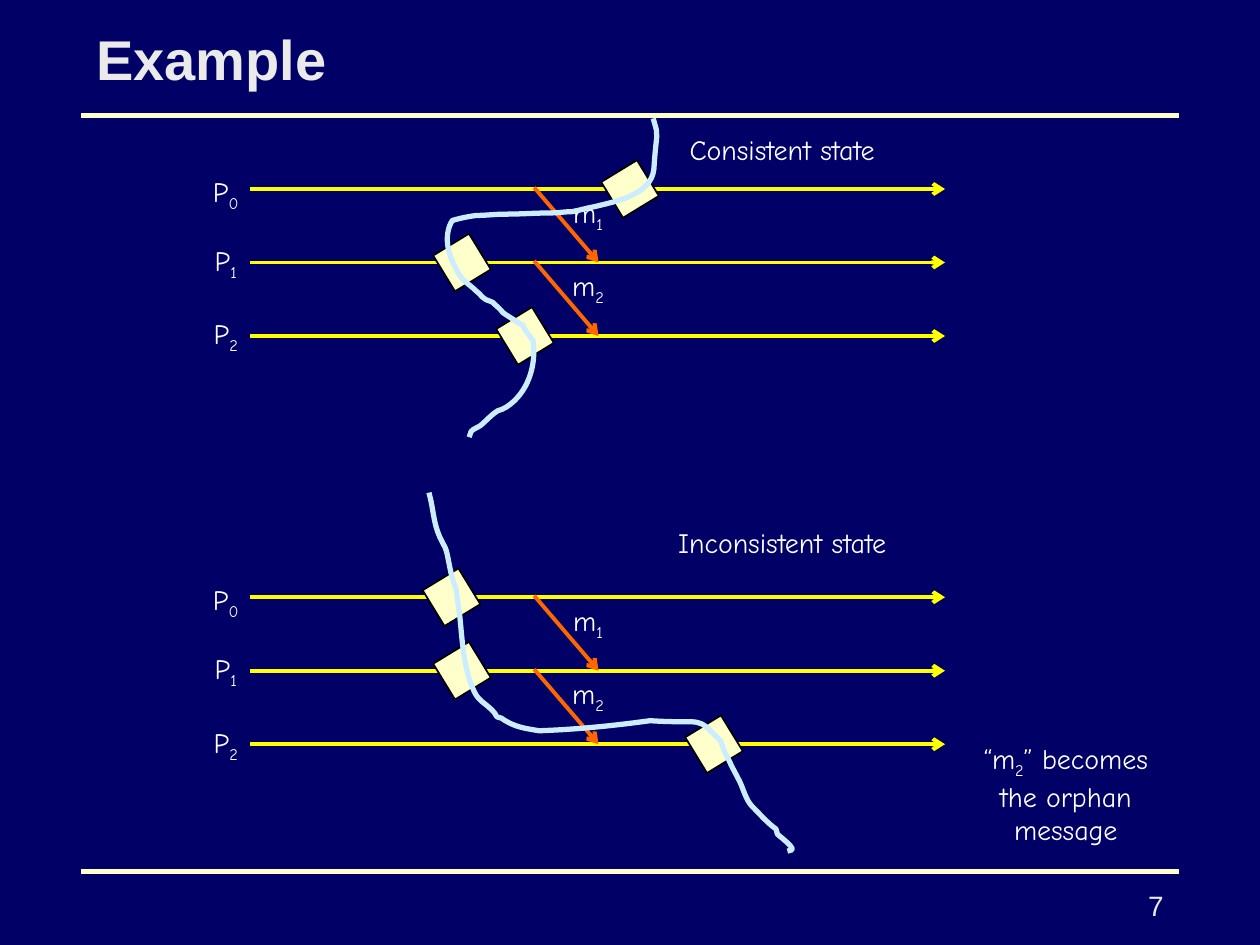
from lxml.etree import SubElement
from pptx import Presentation
from pptx.dml.color import RGBColor
from pptx.enum.shapes import MSO_CONNECTOR, MSO_SHAPE
from pptx.enum.text import MSO_ANCHOR, MSO_AUTO_SIZE, PP_ALIGN
from pptx.oxml.ns import qn
from pptx.util import Inches, Pt

NAVY = RGBColor(0x00, 0x00, 0x66)
CREAM = RGBColor(0xFF, 0xFF, 0xCC)
GREY = RGBColor(0xEA, 0xEA, 0xEA)
WHITE = RGBColor(0xFF, 0xFF, 0xFF)
BLACK = RGBColor(0x00, 0x00, 0x00)
YELLOW = RGBColor(0xFF, 0xFF, 0x00)
ORANGE = RGBColor(0xFF, 0x66, 0x00)
ICE = RGBColor(0xCC, 0xEC, 0xFF)

WIDTH, HEIGHT = Inches(10), Inches(7.5)
CELL = WIDTH / 120
CURVE_UNIT = WIDTH / 1000
PROCESS_GAP = 7

CONSISTENT_CUT = [
    (319, -54),
    (323, -40), (321, -48), (319, -16),
    (317, 5), (288, 10), (272, 14),
    (266, 15), (260, 17), (254, 18),
    (249, 18), (243, 19), (238, 19),
    (226, 19), (213, 20), (201, 20),
    (193, 20), (186, 21), (178, 21),
    (171, 22), (166, 23), (159, 25),
    (152, 36), (155, 52), (162, 63),
    (165, 72), (172, 75), (178, 81),
    (184, 86), (180, 84), (186, 88),
    (188, 89), (190, 89), (191, 90),
    (194, 93), (197, 95), (199, 98),
    (203, 101), (207, 103), (211, 106),
    (212, 107), (215, 108), (215, 108),
    (216, 111), (218, 114), (220, 116),
    (221, 118), (223, 120), (223, 120),
    (226, 140), (219, 162), (202, 173),
    (200, 175), (197, 175), (195, 176),
    (190, 179), (186, 184), (181, 188),
    (178, 190), (173, 191), (173, 195),
]
INCONSISTENT_CUT = [
    (141, -81),
    (144, -70), (144, -59), (149, -48),
    (150, -46), (151, -44), (152, -42),
    (154, -39), (155, -34), (155, -34),
    (157, -25), (158, -16), (162, -7),
    (163, 1), (164, 8), (165, 15),
    (167, 35), (168, 58), (177, 76),
    (180, 82), (186, 85), (190, 89),
    (197, 96), (191, 94), (198, 96),
    (208, 103), (216, 104), (228, 106),
    (257, 105), (287, 102), (316, 98),
    (361, 101), (351, 93), (372, 114),
    (374, 119), (375, 124), (378, 128),
    (381, 135), (384, 140), (387, 146),
    (390, 152), (392, 161), (397, 166),
    (403, 172), (409, 179), (416, 184),
    (416, 185), (417, 187), (417, 188),
    (419, 190), (434, 201), (427, 201),
]


def grid(*lengths):
    return [round(length * CELL) for length in lengths]


def style_stroke(line, color, width):
    line.color.rgb = color
    line.width = Pt(width)
    stroke = line._get_or_add_ln()
    stroke.set("cap", "sq")
    return stroke


def add_line(slide, start, end, color, width, arrow=False):
    connector = slide.shapes.add_connector(MSO_CONNECTOR.STRAIGHT, *grid(*start, *end))
    stroke = style_stroke(connector.line, color, width)
    if arrow:
        SubElement(stroke, qn("a:tailEnd"), type="arrow")
    SubElement(connector._element.spPr, qn("a:effectLst"))


def add_text(slide, box, parts, size=16, font="Comic Neue", color=WHITE,
             align=PP_ALIGN.CENTER, bold=False, anchor=MSO_ANCHOR.TOP,
             fit=MSO_AUTO_SIZE.SHAPE_TO_FIT_TEXT):
    frame = slide.shapes.add_textbox(*grid(*box)).text_frame
    frame.word_wrap = True
    frame.auto_size = fit
    frame.vertical_anchor = anchor
    paragraph = frame.paragraphs[0]
    paragraph.alignment = align
    paragraph.font.size = Pt(size)
    paragraph.font.name = font
    paragraph.font.bold = bold
    paragraph.font.color.rgb = color
    for index, part in enumerate(parts):
        run = paragraph.add_run()
        run.text = part
        if index == 1:
            run.font._element.set("baseline", "-25000")


def add_checkpoint(slide, center_column, center_row):
    square = slide.shapes.add_shape(
        MSO_SHAPE.RECTANGLE, *grid(center_column - 2, center_row - 2, 4, 4))
    square.rotation = 58.6
    square.shadow.inherit = False
    square.fill.solid()
    square.fill.fore_color.rgb = CREAM
    square.line.color.rgb = BLACK
    square.line.width = Pt(1)


def bend_segments(freeform):
    outline = next(freeform._element.iter(qn("a:path")))
    segments = outline.findall(qn("a:lnTo"))
    for first in range(0, len(segments), 3):
        curve = SubElement(outline, qn("a:cubicBezTo"))
        for segment in segments[first:first + 3]:
            curve.append(segment[0])
            outline.remove(segment)


def add_cut(slide, left, top, controls):
    origin_x, origin_y = grid(left, top)
    points = [(round(origin_x + x * CURVE_UNIT), round(origin_y + y * CURVE_UNIT))
              for x, y in controls]
    builder = slide.shapes.build_freeform(*points[0])
    builder.add_line_segments(points[1:], close=False)
    cut = builder.convert_to_shape()
    bend_segments(cut)
    cut.shadow.inherit = False
    cut.fill.background()
    style_stroke(cut.line, ICE, 3)


def add_state_diagram(slide, left, top, caption, caption_rise, checkpoints, cut):
    rows = [top + PROCESS_GAP * process for process in range(3)]
    for row in rows:
        add_line(slide, (left, row), (left + 66, row), YELLOW, 2.25, arrow=True)
    for process, row in enumerate(rows):
        rise = 2.4 if process else 2
        add_text(slide, (left - 6, row - rise, 7, 4.9), ["P", str(process)])
    for message, row in enumerate(rows[:2], 1):
        add_line(slide, (left + 27, row), (left + 33, row + PROCESS_GAP),
                 ORANGE, 2.25, arrow=True)
    for message, row in enumerate(rows[:2], 1):
        add_text(slide, (left + 29, row, 6, 4.9), ["m", str(message)])
    for column, row in zip(checkpoints, rows):
        add_checkpoint(slide, left + column, row)
    add_cut(slide, left, top, cut)
    add_text(slide, (left + 39, top - caption_rise, 23, 4.44), [caption])


def add_slide_frame(slide, left, right):
    for row in (11, 83):
        add_line(slide, (left, row), (right, row), CREAM, 3)
    add_text(slide, (right - 13, 84, 13, 4), ["7"], font="Arial", color=GREY,
             align=PP_ALIGN.RIGHT, fit=MSO_AUTO_SIZE.NONE)
    add_text(slide, (left, 2, right - left, 7), ["Example"], size=32, font="Arial",
             color=GREY, align=PP_ALIGN.LEFT, bold=True, anchor=MSO_ANCHOR.MIDDLE,
             fit=MSO_AUTO_SIZE.NONE)


def main():
    presentation = Presentation()
    presentation.slide_width, presentation.slide_height = WIDTH, HEIGHT
    slide = presentation.slides.add_slide(presentation.slide_layouts[6])
    slide.background.fill.solid()
    slide.background.fill.fore_color.rgb = NAVY
    add_slide_frame(slide, 8, 112)
    add_state_diagram(slide, 24, 18, "Consistent state", 6, (36, 20, 26), CONSISTENT_CUT)
    add_state_diagram(slide, 24, 56.88, "Inconsistent state", 7.44, (19, 20, 44),
                      INCONSISTENT_CUT)
    add_text(slide, (91, 70, 21, 11.25), ["“m", "2", "” becomes the orphan message"])
    presentation.save("out.pptx")


if __name__ == "__main__":
    main()
